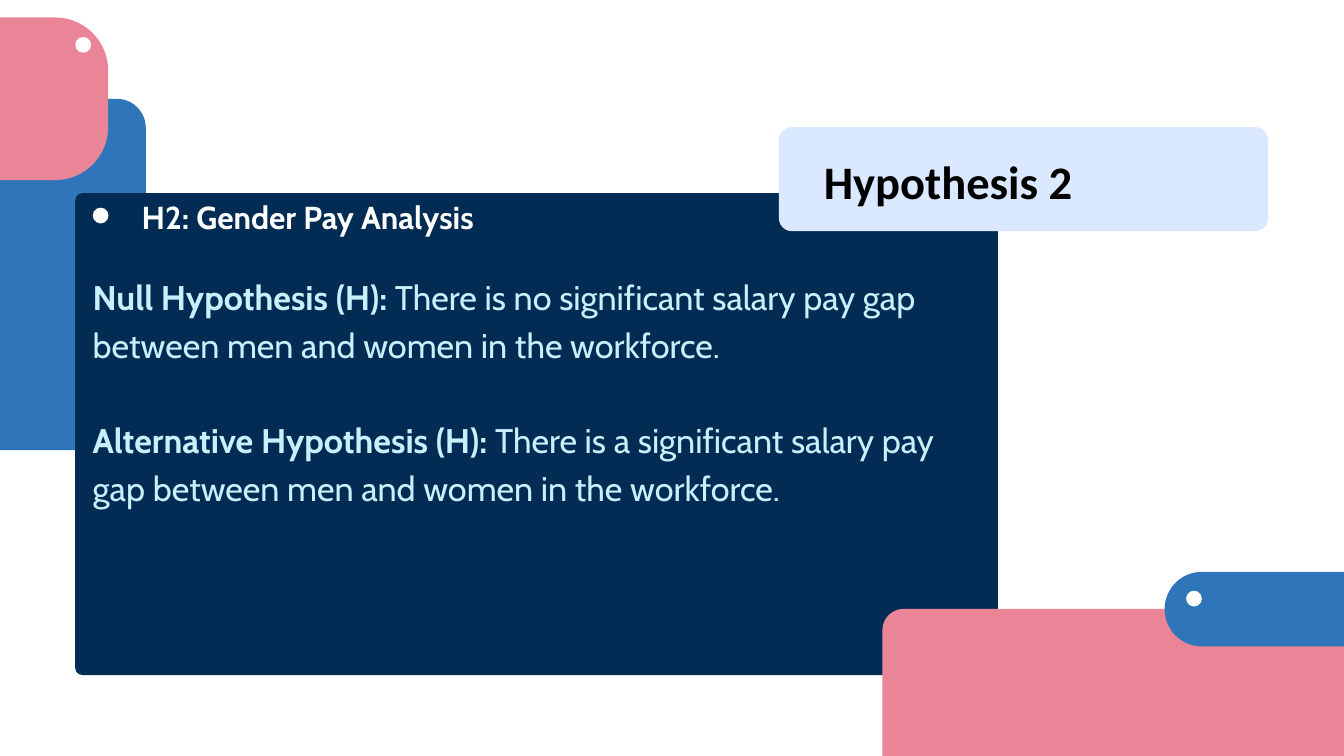
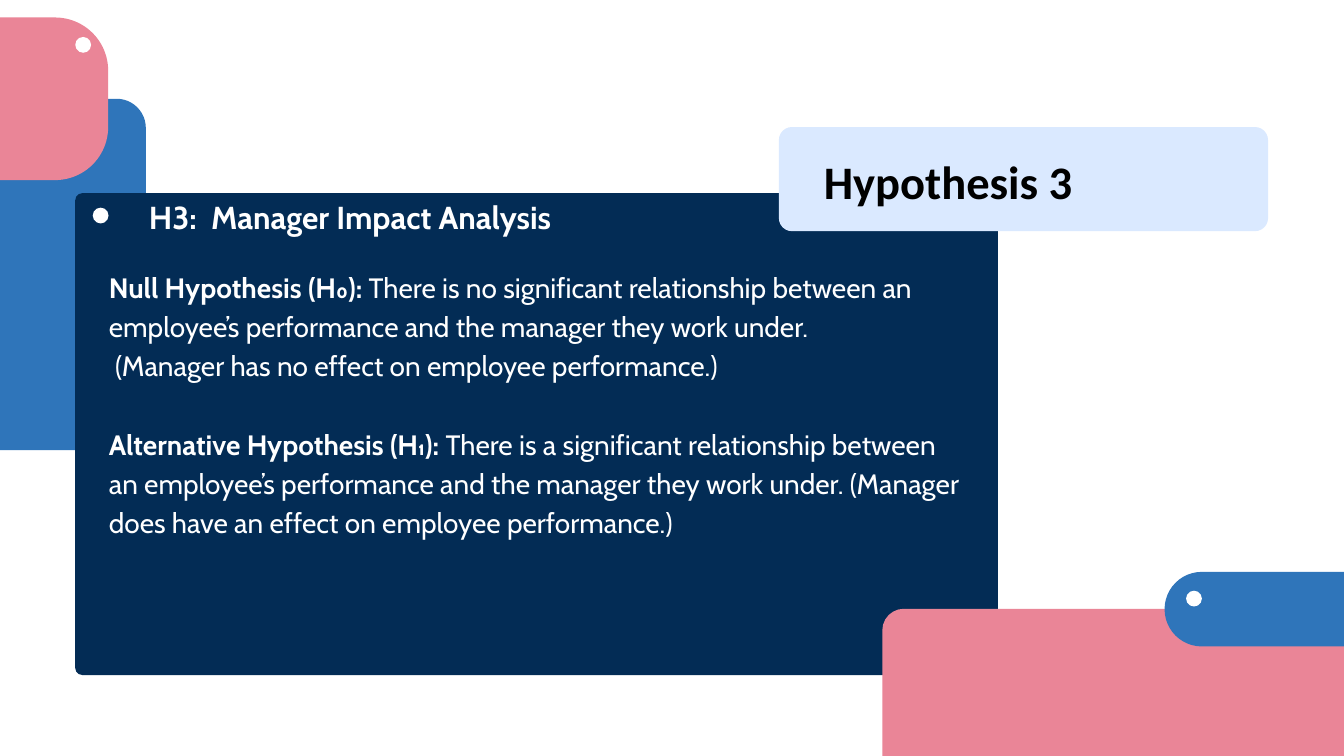
from pptx import Presentation
from pptx import util as u
from pptx.dml.color import RGBColor
from pptx.enum import shapes, text

NAVY = RGBColor(0x03, 0x2C, 0x55)
BLUE = RGBColor(0x2F, 0x75, 0xBA)
PINK = RGBColor(0xEA, 0x85, 0x97)
PALE = RGBColor(0xDA, 0xE9, 0xFF)
ICE = RGBColor(0xC9, 0xF0, 0xFA)
WHITE = RGBColor(0xFF, 0xFF, 0xFF)
BLACK = RGBColor(0, 0, 0)

COLS, ROWS = 80, 45
LEFT, CENTER = text.PP_ALIGN.LEFT, text.PP_ALIGN.CENTER

prs = Presentation()
prs.slide_width, prs.slide_height = u.Inches(20), u.Inches(11.25)
col, row = prs.slide_width / COLS, prs.slide_height / ROWS


def add_block(slide, box, fill, radius=None):
    """Box and corner radius are in grid cells; no radius gives an oval."""
    x, y, w, h = box
    kind = shapes.MSO_SHAPE.ROUNDED_RECTANGLE if radius else shapes.MSO_SHAPE.OVAL
    sp = slide.shapes.add_shape(kind, int(x * col), int(y * row), int(w * col), int(h * row))
    if radius:
        sp.adjustments[0] = radius / min(w, h)
    sp.shadow.inherit = False
    sp.fill.solid()
    sp.fill.fore_color.rgb = fill
    sp.line.fill.background()


def add_text(slide, box, paragraphs, style, leading, align=LEFT):
    """Each paragraph is (bold part, plain part, blank lines before it)."""
    x, y, w, h = box
    sp = slide.shapes.add_textbox(int(x * col), int(y * row), int(w * col), int(h * row))
    tf = sp.text_frame
    frame = {"word_wrap": True, "auto_size": text.MSO_AUTO_SIZE.SHAPE_TO_FIT_TEXT,
             "margin_left": 0, "margin_right": 0, "margin_top": 0, "margin_bottom": 0}
    for name, value in frame.items():
        setattr(tf, name, value)
    for i, (strong, plain, gap) in enumerate(paragraphs):
        p = tf.add_paragraph() if i else tf.paragraphs[0]
        p.alignment = align
        p.line_spacing = u.Pt(leading)
        p.space_before = u.Pt(gap * leading)
        for words, bold in ((strong, True), (plain, False)):
            if not words:
                continue
            r = p.add_run()
            r.text = words
            r.font.bold = bold
            r.font.color.rgb = style["color"]
            for name in ("name", "size"):
                setattr(r.font, name, style[name])


# Shared by both slides, from back to front: box, fill, corner radius
DOT = 0.94
BLOCKS = [
    ((-11.48, 5.88, 20.16, 20.92), BLUE, 1.74),
    ((4.48, 11.5, 54.92, 28.68), NAVY, 0.42),
    ((46.36, 7.56, 29.12, 6.2), PALE, 0.78),
    ((52.52, 36.24, 27.48, 17.48), PINK, 1.28),
    ((-4.6, 1.04, 11.04, 9.68), PINK, 3.16),
    ((69.32, 34.04, 15.96, 4.44), BLUE, 2.22),
]
DOTS = [(5.52, 12.36), (70.6, 35.16), (4.48, 2.2)]

TITLE_BOX = (49.04, 8.84, 23.8, 3.52)
TITLE = {"name": "Calibri", "size": u.Pt(49.9), "color": BLACK}
HEADING = {"name": "Cabin", "size": u.Pt(34), "color": WHITE}

SLIDES = [
    {
        "title": "Hypothesis 2",
        "heading": "H2: Gender Pay Analysis",
        "heading_box": (6.44, 11.4, 23.76, 2.52),
        "body_box": (5.52, 16.04, 52.44, 19.64),
        "body_style": {"name": "Cabin", "size": u.Pt(36.6), "color": ICE},
        "leading": 51.2,
        "body": [
            ("Null Hypothesis (H): ",
             "There is no significant salary pay gap between men and women in the workforce.", 0),
            ("Alternative Hypothesis (H): ",
             "There is a significant salary pay gap between men and women in the workforce.", 1),
        ],
    },
    {
        "title": "Hypothesis 3",
        "heading": "H3:  Manager Impact Analysis",
        "heading_box": (7.28, 11.4, 27.12, 2.52),
        "body_box": (6.48, 15.76, 50.92, 23.24),
        "body_style": {"name": "Cabin", "size": u.Pt(30), "color": WHITE},
        "leading": 42,
        "body": [
            ("Null Hypothesis (H₀): ",
             "There is no significant relationship between an employee’s performance "
             "and the manager they work under.", 0),
            ("", " (Manager has no effect on employee performance.)", 0),
            ("Alternative Hypothesis (H₁): ",
             "There is a significant relationship between an employee’s performance and the "
             "manager they work under. (Manager does have an effect on employee performance.)", 1),
        ],
    },
]

for page in SLIDES:
    s = prs.slides.add_slide(prs.slide_layouts[6])
    for box, fill, radius in BLOCKS:
        add_block(s, box, fill, radius)
    for x, y in DOTS:
        add_block(s, (x, y, DOT, DOT), WHITE)
    add_text(s, TITLE_BOX, [(page["title"], "", 0)], TITLE, 64.8)
    add_text(s, page["body_box"], page["body"], page["body_style"], page["leading"])
    add_text(s, page["heading_box"], [(page["heading"], "", 0)], HEADING, 47.6, CENTER)

prs.save("out.pptx")
